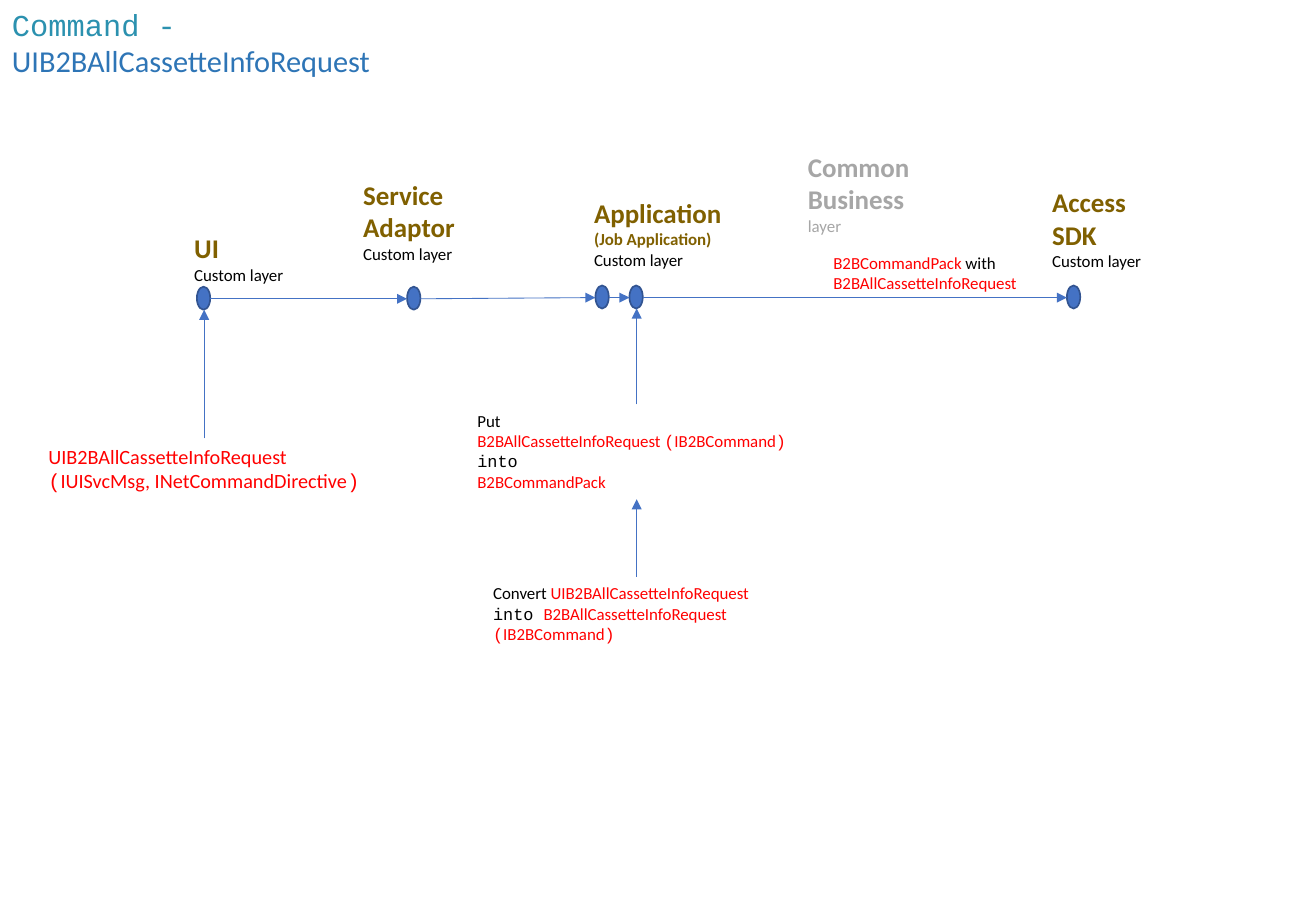
import pptx
import pptx.util
import pptx.dml.color
import pptx.enum.shapes
import pptx.enum.text
import pptx.oxml
import pptx.oxml.ns

Inches = pptx.util.Inches
BLUE, NAVY, RED, BLACK = "4472C4", "325491", "FF0000", "000000"
GOLD, GREY, TEAL, TITLE_BLUE = "806000", "A6A6A6", "2B91AF", "2E75B6"
SANS, MONO = "Calibri", "Courier New"


def color(hex_value):
    return pptx.dml.color.RGBColor.from_string(hex_value)


def add_text(left, top, width, height, paragraphs, wrap=True):
    """Each paragraph is a list of runs: (text, size, color, font, bold)."""
    box = slide.shapes.add_textbox(Inches(left), Inches(top), Inches(width), Inches(height))
    frame = box.text_frame
    frame.word_wrap = wrap
    frame.auto_size = pptx.enum.text.MSO_AUTO_SIZE.SHAPE_TO_FIT_TEXT
    for index, runs in enumerate(paragraphs):
        paragraph = frame.paragraphs[0] if index == 0 else frame.add_paragraph()
        for text, size, hex_value, font, bold in runs:
            run = paragraph.add_run()
            run.text = text
            formats = {"size": pptx.util.Pt(size), "name": font, "bold": bold}
            for name, value in formats.items():
                setattr(run.font, name, value)
            run.font.color.rgb = color(hex_value)


presentation = pptx.Presentation()
presentation.slide_width = Inches(10.83)
presentation.slide_height = Inches(7.5)
slide = presentation.slides.add_slide(presentation.slide_layouts[6])

# Title
add_text(0, 0, 4.57, 0.4, [[
    ("Command - ", 18, TEAL, MONO, False),
    ("UIB2BAllCassetteInfoRequest", 18, TITLE_BLUE, SANS, False),
]])

# Layer headings
custom = ("Custom layer", 10, BLACK, SANS, False)
layers = [
    (1.5, 1.83, 0.95, 0.57, False,
     [[("UI", 16, GOLD, SANS, True), (" ", 18, BLACK, SANS, False)], [custom]]),
    (2.89, 1.42, 1.09, 0.81, True,
     [[("Service Adaptor", 16, GOLD, SANS, True)], [custom]]),
    (4.79, 1.57, 1.48, 0.71, True,
     [[("Application", 16, GOLD, SANS, True)],
      [("(Job Application)", 10, GOLD, SANS, True)], [custom]]),
    (6.55, 1.19, 1.09, 0.81, True,
     [[("Common Business", 16, GREY, SANS, True)], [("layer", 10, GREY, SANS, False)]]),
    (8.56, 1.48, 1.09, 0.81, True,
     [[("Access SDK", 16, GOLD, SANS, True)], [custom]]),
]
for left, top, width, height, wrap, paragraphs in layers:
    add_text(left, top, width, height, paragraphs, wrap)

# Request entering at the UI
add_text(0.3, 3.61, 2.77, 0.5, [
    [("UIB2BAllCassetteInfoRequest ", 12, RED, SANS, False)],
    [("(", 12, RED, MONO, False),
     ("IUISvcMsg, INetCommandDirective", 12, RED, SANS, False),
     (")", 12, RED, MONO, False)],
], wrap=False)

# Steps inside the application
command_request = [
    ("B2BAllCassetteInfoRequest ", 10, RED, SANS, False),
    ("(", 10, RED, MONO, False),
    ("IB2BCommand", 10, RED, SANS, False),
    (") ", 10, RED, MONO, False),
]
add_text(3.96, 4.75, 2.55, 0.61, [[
    ("Convert ", 10, BLACK, SANS, False),
    ("UIB2BAllCassetteInfoRequest ", 10, RED, SANS, False),
    ("into ", 10, BLACK, MONO, False),
] + command_request])
add_text(3.83, 3.33, 2.81, 0.77, [
    [("Put ", 10, BLACK, SANS, False)],
    command_request,
    [("into", 10, BLACK, MONO, False)],
    [("B2BCommandPack", 10, RED, SANS, False)],
], wrap=False)

# Message sent to the access layer
add_text(6.76, 2.03, 1.9, 0.44, [[
    ("B2BCommandPack ", 10, RED, SANS, False),
    ("with", 10, BLACK, SANS, False),
    (" B2BAllCassetteInfoRequest ", 10, RED, SANS, False),
]])

# Nodes along the timeline
node_width, node_height = 0.11, 0.19
nodes = [(1.62, 2.36), (3.35, 2.36), (4.9, 2.35), (5.18, 2.35), (8.78, 2.35)]
for left, top in nodes:
    node = slide.shapes.add_shape(
        pptx.enum.shapes.MSO_SHAPE.OVAL,
        Inches(left), Inches(top), Inches(node_width), Inches(node_height))
    node.shadow.inherit = False
    node.fill.solid()
    node.fill.fore_color.rgb = color(BLUE)
    node.line.color.rgb = color(NAVY)
    node.line.width = pptx.util.Pt(1)

# Arrows: node to node, then upward into the nodes
arrows = [
    (start[0] + node_width, start[1] + 0.1, end[0], end[1] + 0.1)
    for start, end in zip(nodes, nodes[1:])
]
arrows += [(1.68, 3.61, 1.68, 2.55), (5.24, 4.75, 5.24, 4.11), (5.24, 3.33, 5.24, 2.54)]
for ends in arrows:
    arrow = slide.shapes.add_connector(
        pptx.enum.shapes.MSO_CONNECTOR.STRAIGHT, *[Inches(value) for value in ends])
    arrow.line.color.rgb = color(BLUE)
    arrow.line.width = pptx.util.Pt(0.5)
    head = pptx.oxml.parse_xml(
        '<a:tailEnd %s type="triangle"/>' % pptx.oxml.ns.nsdecls("a"))
    arrow.line._get_or_add_ln().append(head)
    arrow._element.spPr.append(
        pptx.oxml.parse_xml("<a:effectLst %s/>" % pptx.oxml.ns.nsdecls("a")))

presentation.save("out.pptx")
